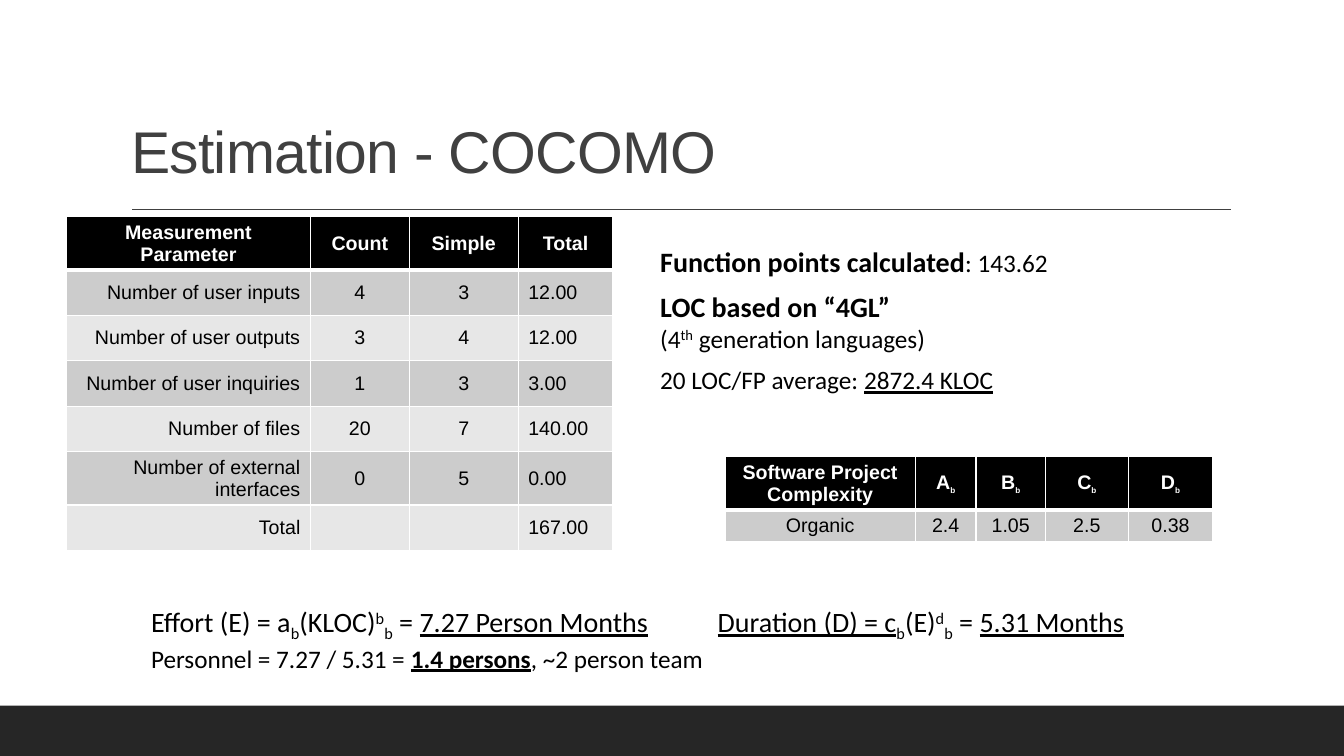
from lxml import etree
from pptx import Presentation
from pptx.dml.color import RGBColor
from pptx.enum import shapes, text
from pptx.oxml import ns
from pptx.util import Inches, Pt

BLACK = RGBColor(0x00, 0x00, 0x00)
WHITE = RGBColor(0xFF, 0xFF, 0xFF)
TITLE_GRAY = RGBColor(0x40, 0x40, 0x40)
FOOTER_GRAY = RGBColor(0x26, 0x26, 0x26)
BANDS = [RGBColor(0xCC, 0xCC, 0xCC), RGBColor(0xE7, 0xE7, 0xE7)]

LEFT, CENTER, RIGHT = text.PP_ALIGN.LEFT, text.PP_ALIGN.CENTER, text.PP_ALIGN.RIGHT
BASELINES = {"_": "-25000", "^": "30000"}

# A run is (text, size, marks); marks: b bold, u underline, _ subscript, ^ superscript.
TITLE = "Estimation - COCOMO"
MEASUREMENTS = [
    ["Measurement Parameter", "Count", "Simple", "Total"],
    ["Number of user inputs", "4", "3", "12.00"],
    ["Number of user outputs", "3", "4", "12.00"],
    ["Number of user inquiries", "1", "3", "3.00"],
    ["Number of files", "20", "7", "140.00"],
    ["Number of external interfaces", "0", "5", "0.00"],
    ["Total", "", "", "167.00"],
]
COEFFICIENTS = [
    ["Software Project Complexity"]
    + [[(letter, 14, "b"), ("b", 10, "b_")] for letter in "ABCD"],
    ["Organic", "2.4", "1.05", "2.5", "0.38"],
]
FUNCTION_POINTS = [
    [("Function points calculated", 20, "b"), (": 143.62", 18, "")],
    [("LOC based on “4GL”", 20, "b"), ("\n", 20, ""), ("(4", 18, ""),
     ("th", 18, "^"), (" generation languages)", 18, "")],
    [("20 LOC/FP average: ", 18, ""), ("2872.4 KLOC", 18, "u")],
]
RESULTS = [
    [("Effort (E) = a", 20, ""), ("b", 20, "_"), ("(KLOC)", 20, ""), ("b", 20, "^"),
     ("b", 20, "_"), (" = ", 20, ""), ("7.27 Person Months", 20, "u"), ("\t", 20, ""),
     ("Duration (D) = c", 20, "u"), ("b", 20, "_"), ("(E)", 20, ""), ("d", 20, "^"),
     ("b", 20, "_"), (" = ", 20, ""), ("5.31 Months", 20, "u")],
    [("Personnel = 7.27 / 5.31 = ", 18, ""), ("1.4 persons", 18, "bu"),
     (", ~2 person team", 18, "")],
]


def write_runs(paragraph, runs, font_name, color):
    for content, size, marks in runs:
        if content == "\n":
            paragraph.add_line_break()
            continue
        run = paragraph.add_run()
        run.text = content
        font = run.font
        font.name, font.size, font.color.rgb = font_name, Pt(size), color
        font.bold = "b" in marks
        font.underline = "u" in marks
        for mark, baseline in BASELINES.items():
            if mark in marks:
                run._r.get_or_add_rPr().set("baseline", baseline)


def add_text(slide, box, paragraphs, space_after=0):
    frame = slide.shapes.add_textbox(*map(Inches, box)).text_frame
    frame.word_wrap = True
    for index, runs in enumerate(paragraphs):
        paragraph = frame.add_paragraph() if index else frame.paragraphs[0]
        paragraph.space_after = Pt(space_after)
        write_runs(paragraph, runs, "Calibri", BLACK)
    return frame


def set_borders(cell, widths):
    """Draw white borders; widths maps L, R, T and B to points."""
    properties = cell._tc.get_or_add_tcPr()
    for side, width in widths.items():
        line = etree.SubElement(properties, ns.qn(f"a:ln{side}"), w=str(Pt(width)))
        fill = etree.SubElement(line, ns.qn("a:solidFill"))
        etree.SubElement(fill, ns.qn("a:srgbClr"), val=str(WHITE))


def add_grid(slide, left, top, widths, heights, rows, alignments):
    """Add a table with a black header and banded body rows."""
    table = slide.shapes.add_table(
        len(rows), len(widths), Inches(left), Inches(top),
        Inches(sum(widths)), Inches(sum(heights))).table
    for column, width in zip(table.columns, widths):
        column.width = Inches(width)
    for row, height in zip(table.rows, heights):
        row.height = Inches(height)
    for r, values in enumerate(rows):
        header = r == 0
        for c, value in enumerate(values):
            cell = table.cell(r, c)
            set_borders(cell, {"L": 1, "R": 1, "T": 3 if r == 1 else 1,
                               "B": 3 if header else 1})
            cell.fill.solid()
            cell.fill.fore_color.rgb = BLACK if header else BANDS[(r - 1) % 2]
            cell.margin_top = cell.margin_bottom = Inches(0.04)
            cell.vertical_anchor = text.MSO_ANCHOR.MIDDLE
            paragraph = cell.text_frame.paragraphs[0]
            paragraph.alignment = CENTER if header else alignments[c]
            if value:
                runs = [(value, 14, "b" if header else "")] if isinstance(value, str) else value
                write_runs(paragraph, runs, "Arial", WHITE if header else BLACK)


def add_frame(slide):
    """Add the footer band, the rule and the title."""
    footer = slide.shapes.add_shape(
        shapes.MSO_SHAPE.RECTANGLE, 0, Inches(7), Inches(13.33), Inches(0.5))
    footer.shadow.inherit = False
    footer.fill.solid()
    footer.fill.fore_color.rgb = FOOTER_GRAY
    footer.line.fill.background()

    rule = slide.shapes.add_connector(
        shapes.MSO_CONNECTOR.STRAIGHT, Inches(1.31), Inches(2.08), Inches(12.21), Inches(2.08))
    rule.line.color.rgb = TITLE_GRAY
    rule.line.width = Pt(1)
    etree.SubElement(rule._element.spPr, ns.qn("a:effectLst"))

    title = slide.shapes.title
    title.left, title.top, title.width, title.height = map(Inches, (1.2, 0.31, 11, 1.59))
    title.text_frame.text = TITLE
    title.text_frame.vertical_anchor = text.MSO_ANCHOR.BOTTOM
    paragraph = title.text_frame.paragraphs[0]
    paragraph.alignment = LEFT
    paragraph.line_spacing = 0.9
    run = paragraph.runs[0]
    run.font.name, run.font.size, run.font.color.rgb = "Arial", Pt(42), TITLE_GRAY
    run._r.get_or_add_rPr().set("spc", "-50")


def main():
    presentation = Presentation()
    presentation.slide_width, presentation.slide_height = Inches(13.33), Inches(7.5)
    slide = presentation.slides.add_slide(presentation.slide_layouts.get_by_name("Title Only"))
    add_frame(slide)
    add_grid(slide, 0.66, 2.15, [2.42, 0.98, 1.08, 0.94],
             [0.53, 0.45, 0.45, 0.45, 0.45, 0.53, 0.45],
             MEASUREMENTS, [RIGHT, CENTER, CENTER, LEFT])
    add_grid(slide, 7.19, 4.53, [1.89, 0.6, 0.69, 0.82, 0.84], [0.53, 0.31],
             COEFFICIENTS, [CENTER] * 5)
    add_text(slide, (6.45, 2.38, 4.1, 1.6), FUNCTION_POINTS, space_after=8)
    results = add_text(slide, (1.4, 5.95, 10.53, 0.74), RESULTS)
    tabs = etree.SubElement(results.paragraphs[0]._p.get_or_add_pPr(), ns.qn("a:tabLst"))
    etree.SubElement(tabs, ns.qn("a:tab"), pos=str(Inches(5.62)), algn="l")
    presentation.save("out.pptx")


if __name__ == "__main__":
    main()
